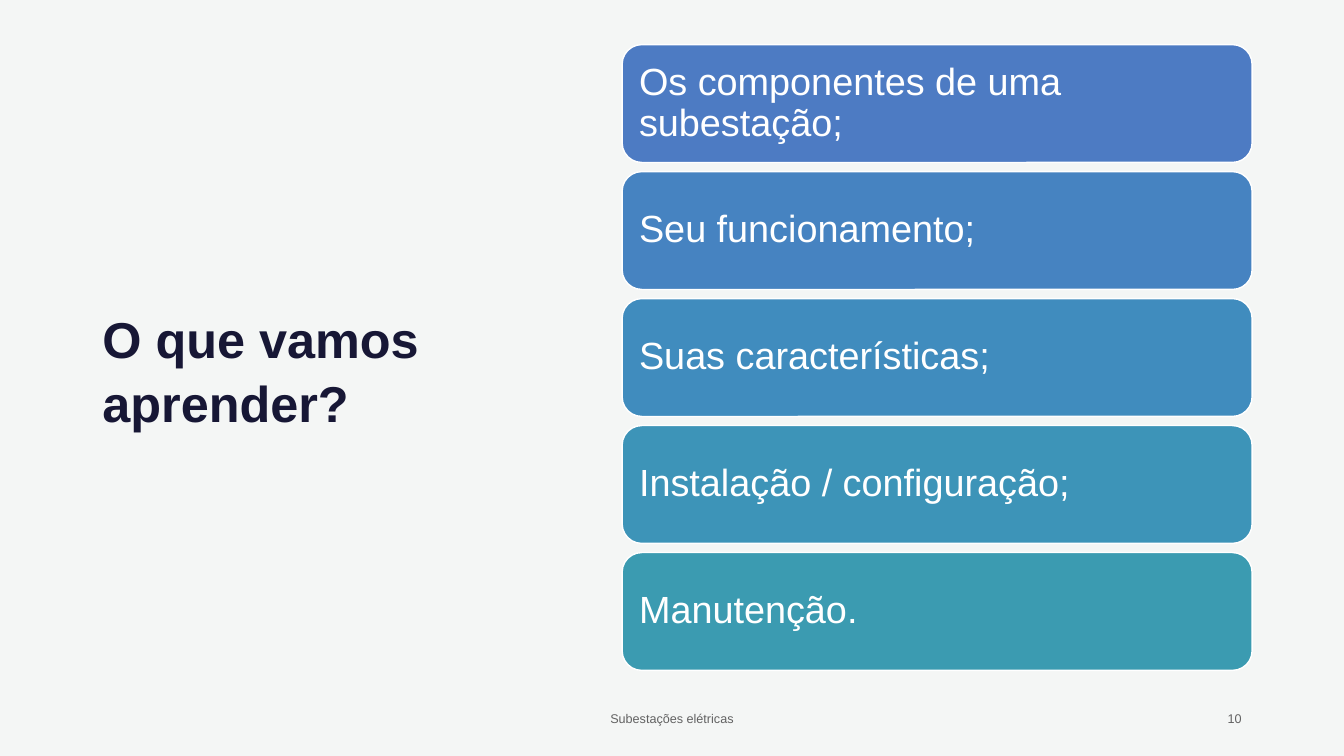
from pptx import Presentation
from pptx.dml.color import RGBColor
from pptx.enum.shapes import MSO_SHAPE
from pptx.enum.text import MSO_ANCHOR, MSO_AUTO_SIZE, PP_ALIGN
from pptx.util import Pt

FONT = "Arial"
COLORS = {
    "background": "F4F6F5",
    "title": "171735",
    "footer": "626262",
    "white": "FFFFFF",
}
TOPICS = [
    ("Os componentes de uma subestação;", "4D7BC3"),
    ("Seu funcionamento;", "4683C1"),
    ("Suas características;", "408CBE"),
    ("Instalação / configuração;", "3D94B8"),
    ("Manutenção.", "3B9BB1"),
]
TOPIC_LEFT, TOPIC_TOP = 444.4, 31.9
TOPIC_WIDTH, TOPIC_HEIGHT = 450, 84.2
TOPIC_PITCH = 90.7


def rgb(name):
    return RGBColor.from_string(COLORS[name])


def write(frame, text, size, color, align=PP_ALIGN.LEFT, bold=False):
    """Fill a text frame with one wrapped, vertically centred paragraph."""
    frame.word_wrap = True
    frame.auto_size = MSO_AUTO_SIZE.NONE
    frame.vertical_anchor = MSO_ANCHOR.MIDDLE
    frame.text = text
    paragraph = frame.paragraphs[0]
    paragraph.alignment = align
    paragraph.font.name = FONT
    paragraph.font.size = Pt(size)
    paragraph.font.bold = bold
    paragraph.font.color.rgb = rgb(color)
    return paragraph


def add_title(slide, text):
    title = slide.shapes.title
    title.left, title.top = Pt(66), Pt(44)
    title.width, title.height = Pt(346), Pt(439)
    heading = write(title.text_frame, text, 36, "title", bold=True)
    heading.line_spacing = 1.05


def add_topic(slide, top, text, fill):
    topic = slide.shapes.add_shape(
        MSO_SHAPE.ROUNDED_RECTANGLE,
        Pt(TOPIC_LEFT), Pt(top), Pt(TOPIC_WIDTH), Pt(TOPIC_HEIGHT))
    topic.shadow.inherit = False
    topic.fill.solid()
    topic.fill.fore_color.rgb = RGBColor.from_string(fill)
    topic.line.color.rgb = rgb("white")
    topic.line.width = Pt(1)
    frame = topic.text_frame
    frame.margin_left = frame.margin_right = Pt(8)
    frame.margin_top = frame.margin_bottom = Pt(8)
    write(frame, text, 27, "white").line_spacing = 0.9


def add_footer(slide, left, width, text, align):
    footer = slide.shapes.add_textbox(Pt(left), Pt(498.5), Pt(width), Pt(28.75))
    write(footer.text_frame, text, 9, "footer", align)


def main():
    deck = Presentation()
    deck.slide_width, deck.slide_height = Pt(960), Pt(540)
    slide = deck.slides.add_slide(deck.slide_layouts[5])
    slide.background.fill.solid()
    slide.background.fill.fore_color.rgb = rgb("background")

    add_title(slide, "O que vamos aprender?")
    for row, (text, fill) in enumerate(TOPICS):
        add_topic(slide, TOPIC_TOP + row * TOPIC_PITCH, text, fill)
    add_footer(slide, 318, 324, "Subestações elétricas", PP_ALIGN.CENTER)
    add_footer(slide, 678, 216, "10", PP_ALIGN.RIGHT)
    deck.save("out.pptx")


if __name__ == "__main__":
    main()
